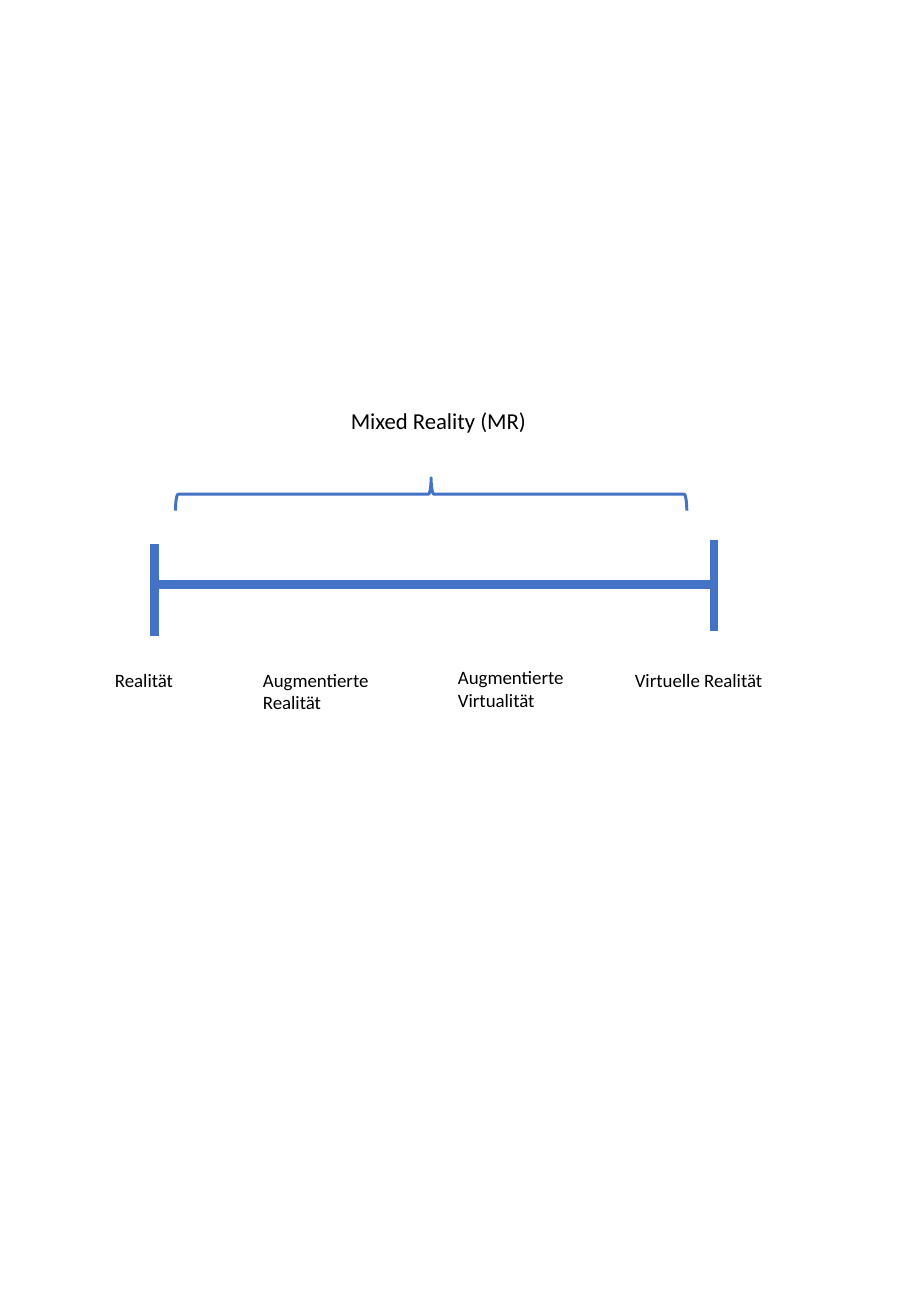
"""Draws the reality-virtuality continuum with its mixed reality span."""
from pptx import Presentation
from pptx.dml.color import RGBColor
from pptx.enum.shapes import MSO_CONNECTOR as Connector, MSO_SHAPE as Shape
from pptx.oxml.ns import qn
from pptx.util import Pt
from lxml.etree import SubElement


def color(value):
    return RGBColor.from_string(value)


class Diagram:
    font = {"name": "Calibri"}
    ink = "000000"
    accent = "4472C4"

    def __init__(self, page):
        self.shapes = page.shapes.add_group_shape().shapes

    def outline(self, item, width):
        item.line.color.rgb = color(self.accent)
        item.line.width = Pt(width)

    def line(self, x1, y1, x2, y2, width=5):
        ends = map(Pt, (x1, y1, x2, y2))
        link = self.shapes.add_connector(Connector.STRAIGHT, *ends)
        self.outline(link, width)
        SubElement(link._element.spPr, qn("a:effectLst"))

    def brace(self, left, top, width, height, weight=1.75):
        x = left + (width - height) / 2
        y = top + (height - width) / 2
        box = self.shapes.add_shape(Shape.RIGHT_BRACE, *map(Pt, (x, y, height, width)))
        box.rotation = 270
        box.shadow.inherit = False
        box.fill.background()
        self.outline(box, weight)

    def text(self, words, left, top, width, height, size=11.2):
        box = self.shapes.add_textbox(*map(Pt, (left, top, width, height)))
        box.text_frame.word_wrap = True
        para = box.text_frame.paragraphs[0]
        span = para.add_run()
        span.text = words
        for key, value in {**self.font, "size": Pt(size)}.items():
            setattr(span.font, key, value)
        span.font.color.rgb = color(self.ink)


def main():
    deck = Presentation()
    deck.slide_width, deck.slide_height = Pt(540), Pt(779.76)
    page = deck.slides.add_slide(deck.slide_layouts[6])
    diagram = Diagram(page)

    start, end, axis = 91.5, 423.4, 346.3
    diagram.line(start, axis, end, axis)
    for x, top in ((start, 322.6), (end, 319.7)):
        diagram.line(x, top, x, top + 54)

    diagram.brace(104, 283.1, 303.1, 19.4)
    diagram.text("Mixed Reality (MR)", 200.9, 237.6, 139, 23.8, 13.5)

    labels = (
        ("Realität", 61.1, 392.4, 55.4, 20.9),
        ("Augmentierte Realität", 148.8, 392.4, 84.2, 34.6),
        ("Augmentierte Virtualität", 264.4, 391, 97.9, 34.6),
        ("Virtuelle Realität", 369.2, 392.4, 109.4, 20.9),
    )
    for label in labels:
        diagram.text(*label)
    deck.save("out.pptx")


if __name__ == "__main__":
    main()
